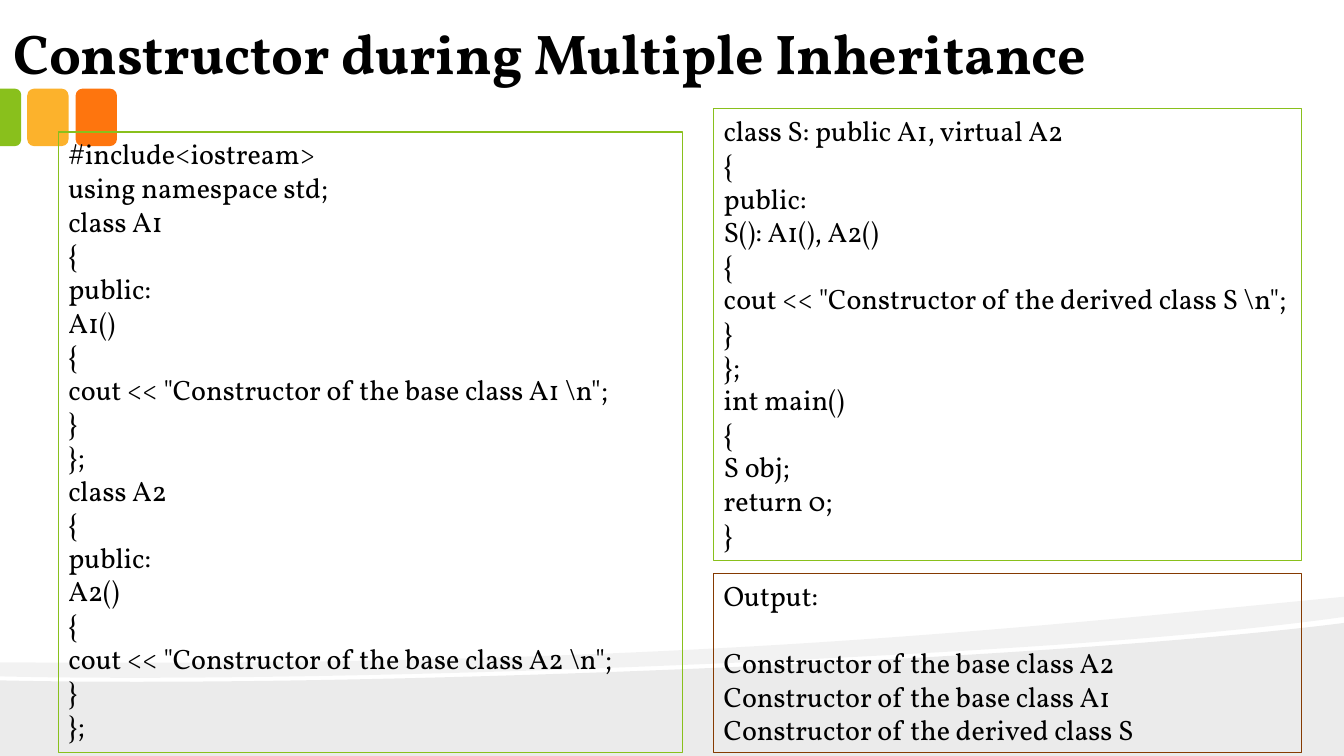
from lxml import etree
from pptx import Presentation, util as u
from pptx.dml.color import RGBColor
from pptx.enum import shapes, text
from pptx.oxml.ns import qn

PX = 9144  # 100 px to the inch
FONT = "Vollkorn"
BLACK = RGBColor(0, 0, 0)
GREEN = RGBColor(0x89, 0xC0, 0x1C)
AMBER = RGBColor(0xFC, 0xB2, 0x2C)
ORANGE = RGBColor(0xFE, 0x75, 0x0E)
BROWN = RGBColor(0x85, 0x3A, 0x01)
LINE_PITCH = u.Pt(24)

TITLE = "Constructor during Multiple Inheritance"
TITLE_BOX = (0, 3, 1291, 89)

BASE_CLASSES = r'''#include<iostream>
using namespace std;
class A1
{
public:
A1()
{
cout << "Constructor of the base class A1 \n";
}
};
class A2
{
public:
A2()
{
cout << "Constructor of the base class A2 \n";
}
};'''
DERIVED_CLASS = r'''class S: public A1, virtual A2
{
public:
S(): A1(), A2()
{
cout << "Constructor of the derived class S \n";
}
};
int main()
{
S obj;
return 0;
}'''
OUTPUT = """Output:
Constructor of the base class A2
Constructor of the base class A1
Constructor of the derived class S"""

# text, box, outline, gap after the first line
PANELS = [
    (BASE_CLASSES, (58, 131, 619, 616), GREEN, 0),
    (DERIVED_CLASS, (708, 108, 583, 448), GREEN, 0),
    (OUTPUT, (708, 569, 583, 178), BROWN, LINE_PITCH),
]

# opacity in percent, start, edges (one point: line, three points: curve)
WAVES = [
    (8, (1333, 618), [
        [(1333, 750)],
        [(0, 750)],
        [(0, 675)],
        [(352, 683), (1042, 655), (1333, 618)],
    ]),
    (5, (1333, 592), [
        [(1333, 612)],
        [(1255, 623), (1149, 633), (1029, 641)],
        [(698, 663), (258, 677), (0, 671)],
        [(0, 657)],
        [(652, 662), (971, 627), (1333, 592)],
    ]),
]

# preset, box, rotation, colour
TABS = [
    (shapes.MSO_SHAPE.ROUNDED_RECTANGLE, (75, 88, 41, 57), 0, ORANGE),
    (shapes.MSO_SHAPE.ROUNDED_RECTANGLE, (27, 88, 41, 57), 0, AMBER),
    (shapes.MSO_SHAPE.ROUND_2_SAME_RECTANGLE, (-18, 106, 57, 21), 90, GREEN),
]


def emu(box):
    return [length * PX for length in box]


def paint(shape, colour):
    shape.shadow.inherit = False
    shape.fill.solid()
    shape.fill.fore_color.rgb = colour
    shape.line.fill.background()


def bend(wave, edges):
    """Turn the straight segments of three-point edges into cubic curves."""
    left, top = wave.left // PX, wave.top // PX
    segments = list(wave.element.iter(qn("a:lnTo")))
    for segment, edge in zip(segments, edges):
        if len(edge) == 3:
            curve = etree.Element(qn("a:cubicBezTo"))
            for x, y in edge:
                etree.SubElement(curve, qn("a:pt"), x=str(x - left), y=str(y - top))
            segment.getparent().replace(segment, curve)


def add_wave(slide, opacity, start, edges):
    builder = slide.shapes.build_freeform(*start, scale=PX)
    builder.add_line_segments([edge[-1] for edge in edges], close=True)
    wave = builder.convert_to_shape()
    bend(wave, edges)
    paint(wave, BLACK)
    colour = next(wave.element.iter(qn("a:srgbClr")))
    etree.SubElement(colour, qn("a:alpha"), val=str(opacity * 1000))


def add_tab(slide, preset, box, rotation, colour):
    tab = slide.shapes.add_shape(preset, *emu(box))
    tab.rotation = rotation
    if rotation:
        tab.adjustments[0] = 0.29
    paint(tab, colour)


def format_run(run, size, bold=False):
    run.font.name = FONT
    run.font.size = u.Pt(size)
    run.font.bold = bold
    run.font.color.rgb = BLACK


def add_title(slide):
    title = slide.shapes.title
    title.left, title.top, title.width, title.height = emu(TITLE_BOX)
    frame = title.text_frame
    frame.text = TITLE
    frame.auto_size = text.MSO_AUTO_SIZE.NONE
    frame.vertical_anchor = text.MSO_ANCHOR.BOTTOM
    frame.margin_left = frame.margin_right = 13 * PX
    frame.margin_top = frame.margin_bottom = 7 * PX
    paragraph = frame.paragraphs[0]
    paragraph.alignment = text.PP_ALIGN.JUSTIFY
    format_run(paragraph.runs[0], 40, bold=True)


def add_panel(slide, content, box, outline, first_gap):
    panel = slide.shapes.add_shape(shapes.MSO_SHAPE.RECTANGLE, *emu(box))
    panel.shadow.inherit = False
    panel.fill.background()
    panel.line.color.rgb = outline
    panel.line.width = u.Pt(0.75)
    frame = panel.text_frame
    frame.text = content
    frame.word_wrap = True
    frame.auto_size = text.MSO_AUTO_SIZE.SHAPE_TO_FIT_TEXT
    frame.vertical_anchor = text.MSO_ANCHOR.TOP
    for paragraph in frame.paragraphs:
        paragraph.alignment = text.PP_ALIGN.LEFT
        format_run(paragraph.runs[0], 20)
    frame.paragraphs[0].space_after = first_gap


def main():
    presentation = Presentation()
    presentation.slide_width, presentation.slide_height = emu((1333, 750))
    slide = presentation.slides.add_slide(presentation.slide_layouts[5])
    for wave in WAVES:
        add_wave(slide, *wave)
    for tab in TABS:
        add_tab(slide, *tab)
    add_title(slide)
    for panel in PANELS:
        add_panel(slide, *panel)
    presentation.save("out.pptx")


if __name__ == "__main__":
    main()
